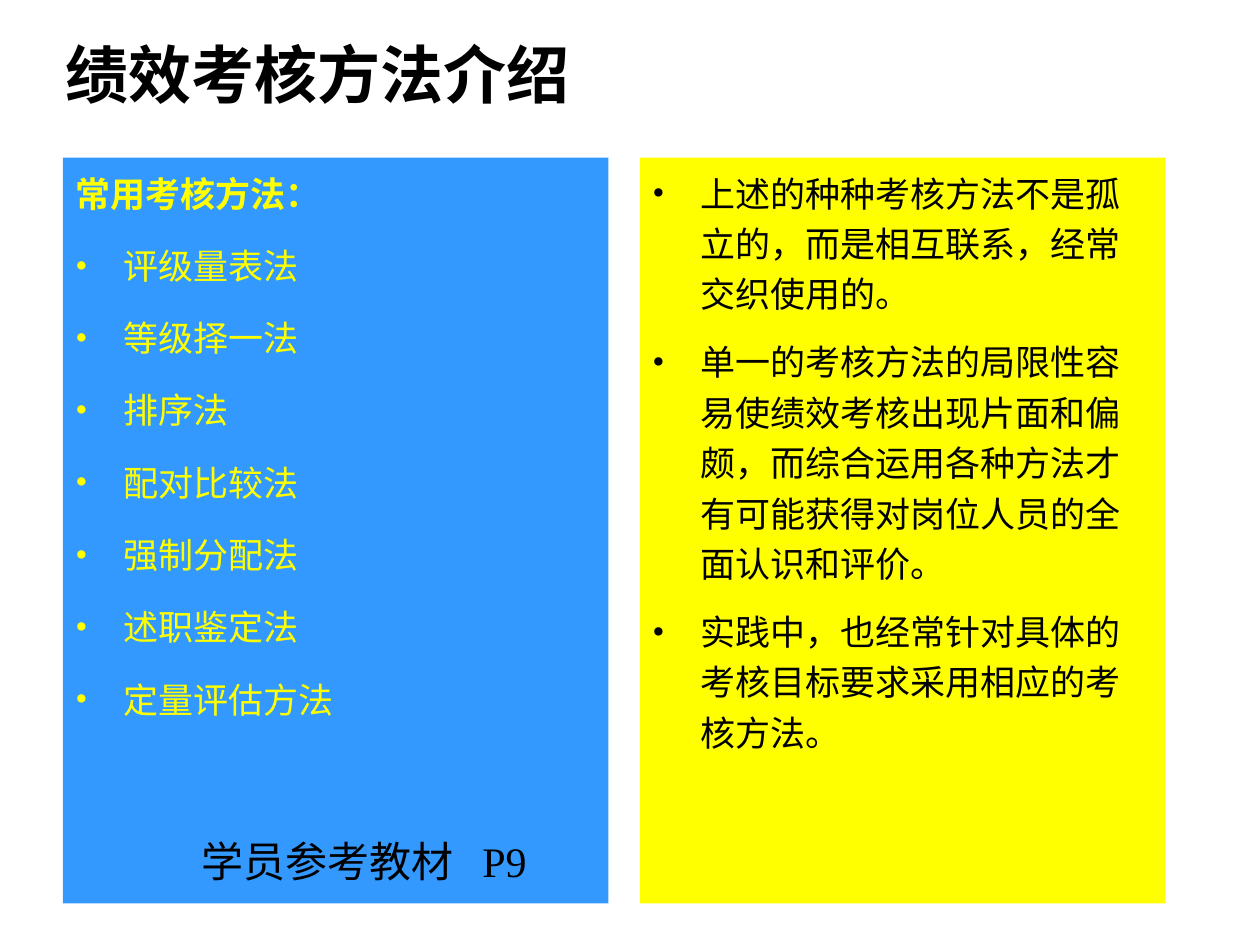
from lxml.etree import SubElement
from pptx import Presentation
from pptx.dml.color import RGBColor
from pptx.enum.shapes import MSO_SHAPE
from pptx.enum.text import MSO_ANCHOR, PP_ALIGN
from pptx.oxml.ns import qn
from pptx.util import Inches, Pt

BLACK = RGBColor(0, 0, 0)
BLUE = RGBColor(0x33, 0x99, 0xFF)
YELLOW = RGBColor(0xFF, 0xFF, 0)
FONT = "Times New Roman"

HEAD = "常用考核方法："
METHODS = ["评级量表法", "等级择一法", "排序法", "配对比较法",
           "强制分配法", "述职鉴定法", "定量评估方法"]
NOTES = [
    "上述的种种考核方法不是孤立的，而是相互联系，经常交织使用的。",
    "单一的考核方法的局限性容易使绩效考核出现片面和偏颇，"
    "而综合运用各种方法才有可能获得对岗位人员的全面认识和评价。",
    "实践中，也经常针对具体的考核目标要求采用相应的考核方法。",
]


def place(shape, box):
    shape.left, shape.top, shape.width, shape.height = map(Inches, box)


def add_run(para, text, size, color, bold=False):
    run = para.add_run()
    run.text = text
    font = run.font
    font.name, font.size, font.bold = FONT, Pt(size), bold
    font.color.rgb = color


def add_bullet(para):
    props = para._p.get_or_add_pPr()
    SubElement(props, qn("a:buFont"), typeface=FONT)
    SubElement(props, qn("a:buChar"), char="•")


def add_tab(para, pos):
    tabs = SubElement(para._p.get_or_add_pPr(), qn("a:tabLst"))
    SubElement(tabs, qn("a:tab"), pos=str(Inches(pos)), algn="l")


def add_title(slide, box, text):
    title = slide.shapes.title
    place(title, box)
    frame = title.text_frame
    frame.vertical_anchor = MSO_ANCHOR.MIDDLE
    para = frame.paragraphs[0]
    para.alignment = PP_ALIGN.LEFT
    add_run(para, text, 36, BLACK, True)


def add_panel(slide, box, fill, color, gap, items, head=None):
    """Filled box with an optional bold heading above bulleted items."""
    panel = slide.shapes.add_shape(MSO_SHAPE.RECTANGLE, *map(Inches, box))
    panel.shadow.inherit = False
    panel.fill.solid()
    panel.fill.fore_color.rgb = fill
    panel.line.fill.background()
    frame = panel.text_frame
    frame.word_wrap = True
    frame.vertical_anchor = MSO_ANCHOR.TOP
    lines = ([head] if head else []) + items
    for i, text in enumerate(lines):
        para = frame.add_paragraph() if i else frame.paragraphs[0]
        para.alignment = PP_ALIGN.LEFT
        para.line_spacing = 1.2
        para.space_before = Pt(gap if i else 0)
        props = para._p.get_or_add_pPr()
        props.set("marL", str(Inches(0.38)))
        props.set("indent", str(Inches(-0.38)))
        if text != head:
            add_bullet(para)
        add_run(para, text, 20, color, text == head)


def add_source(slide, box, name, page):
    frame = slide.shapes.add_textbox(*map(Inches, box)).text_frame
    frame.word_wrap = True
    para = frame.paragraphs[0]
    add_tab(para, 2.23)
    add_run(para, f"{name}\t{page}", 24, BLACK)


def main():
    deck = Presentation()
    deck.slide_width, deck.slide_height = Inches(10), Inches(7.5)
    slide = deck.slides.add_slide(deck.slide_layouts[5])
    add_title(slide, (0.42, 0.25, 9.17, 0.67), "绩效考核方法介绍")
    top, height = 1.25, 5.92
    add_panel(slide, (0.5, top, 4.33, height), BLUE, YELLOW, 12.5,
              METHODS, HEAD)
    add_panel(slide, (5.08, top, 4.17, height), YELLOW, BLACK, 10, NOTES)
    add_source(slide, (1.5, 6.58, 4.75, 0.5), "学员参考教材", "P9")
    deck.save("out.pptx")


if __name__ == "__main__":
    main()
